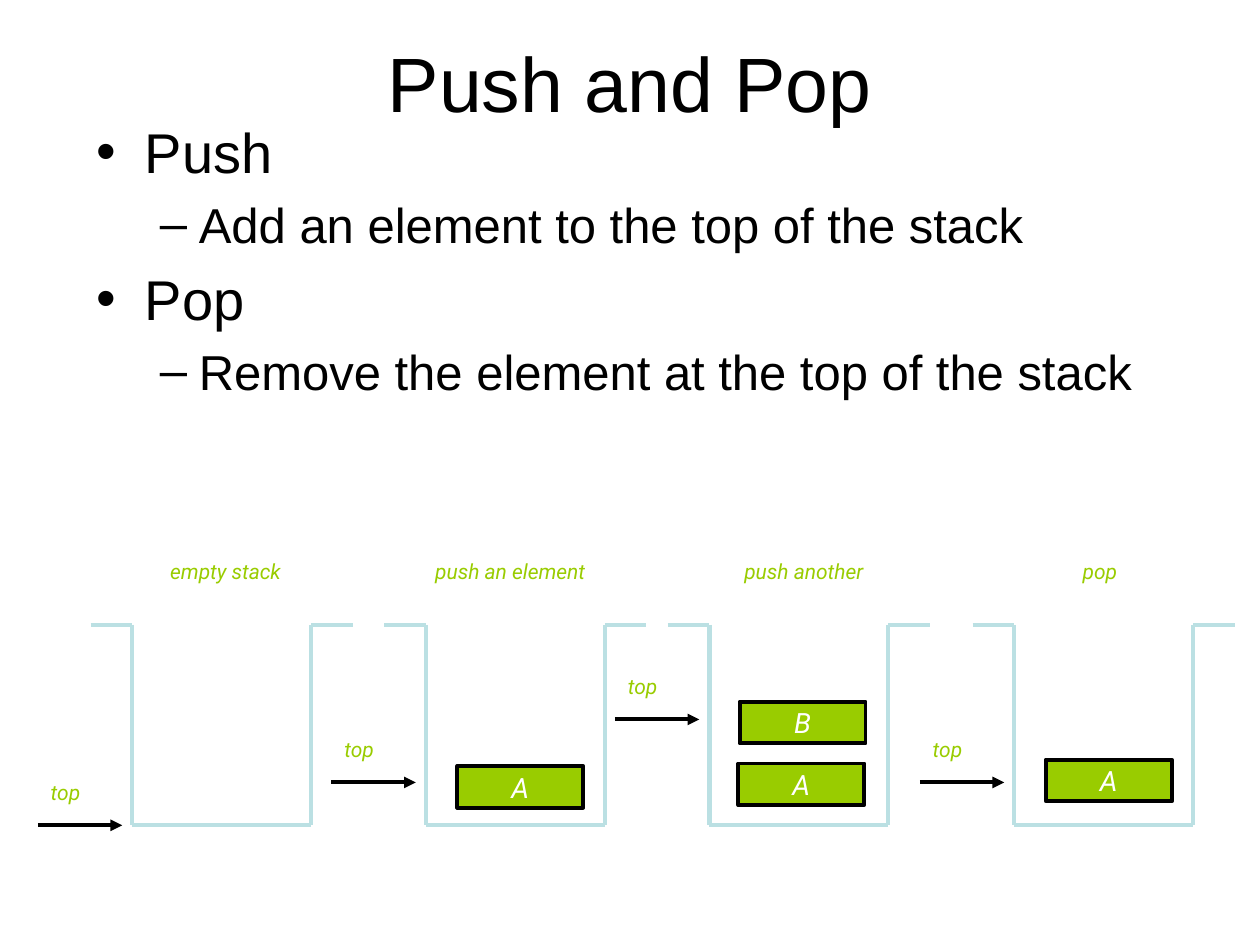
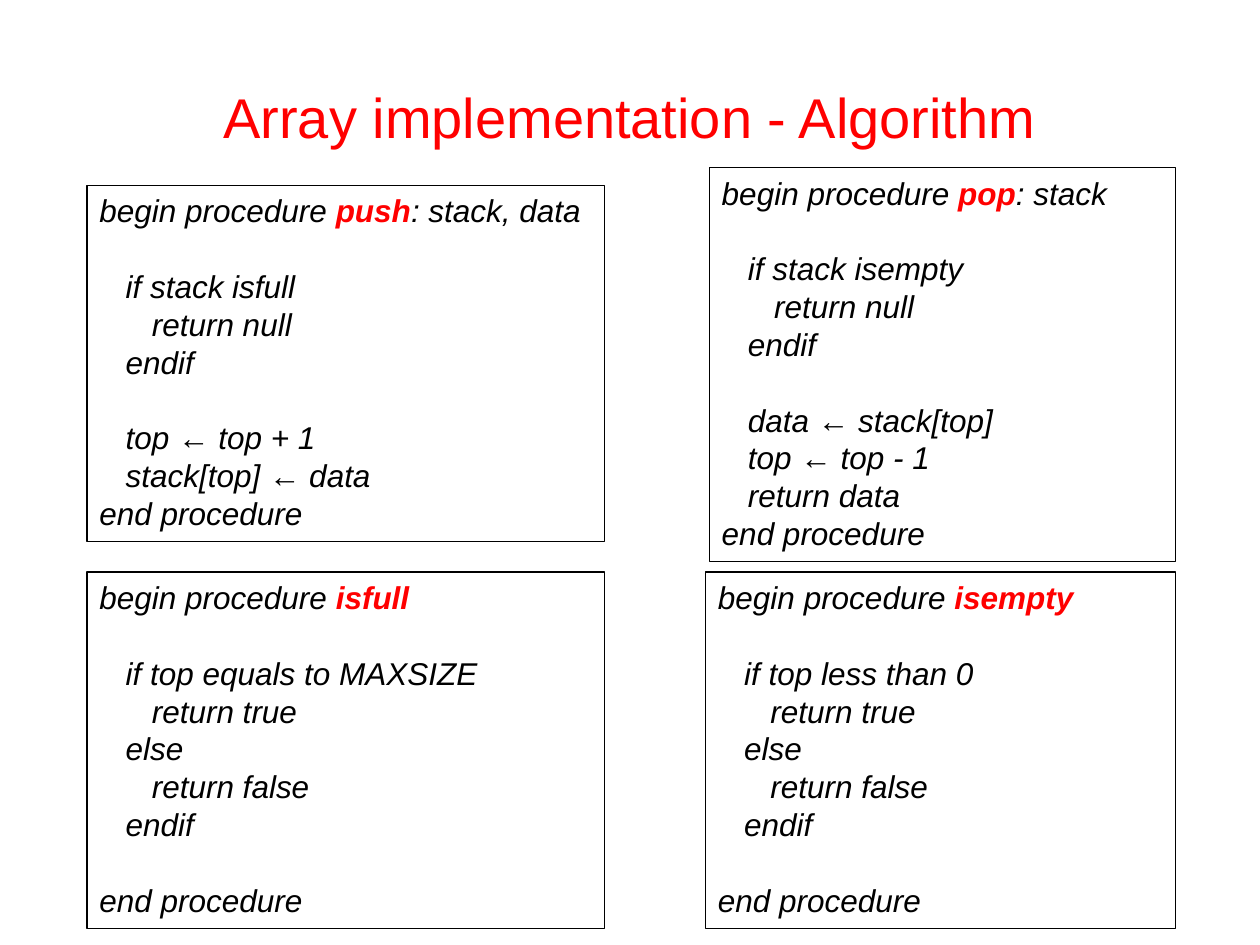
from lxml import etree
from pptx import Presentation
from pptx.dml.color import RGBColor
from pptx.enum.shapes import MSO_CONNECTOR, MSO_SHAPE
from pptx.enum.text import MSO_ANCHOR, PP_ALIGN
from pptx.oxml.ns import qn
from pptx.util import Inches, Pt

STRAIGHT = MSO_CONNECTOR.STRAIGHT
RECTANGLE = MSO_SHAPE.RECTANGLE
MIDDLE, TOP = MSO_ANCHOR.MIDDLE, MSO_ANCHOR.TOP
CENTER, LEFT = PP_ALIGN.CENTER, PP_ALIGN.LEFT

COLORS = {"text": "000000", "accent": "FF0000", "element": "99CC00",
          "stack": "BBE0E3", "letter": "FFFFFF"}
LABEL = {"name": "Roboto", "size": Pt(12), "italic": True}
LETTER = {"name": "Roboto", "size": Pt(16), "italic": True}
CODE = {"name": "Arial", "size": Pt(18), "italic": True}
KEYWORD = {**CODE, "bold": True}


def write(paragraph, text, color, style):
    """Append a run with the given colour and font values."""
    run = paragraph.add_run()
    run.text = text
    run.font.color.rgb = RGBColor.from_string(COLORS[color])
    for attribute, value in style.items():
        setattr(run.font, attribute, value)


def add_line(slide, start, end, color, width, arrow=False):
    line = slide.shapes.add_connector(STRAIGHT, *map(Inches, start + end))
    line.line.color.rgb = RGBColor.from_string(COLORS[color])
    line.line.width = Pt(width)
    properties = line._element.spPr
    if arrow:
        etree.SubElement(line.line._get_or_add_ln(), qn("a:tailEnd"), type="triangle")
    etree.SubElement(properties, qn("a:effectLst"))


prs = Presentation()
prs.slide_width, prs.slide_height = Inches(10), Inches(7.5)
blank = prs.slide_layouts[6]

# Titles
titles = [
    ("Push and Pop", 44, 0.7, "text"),
    ("Array implementation - Algorithm", 32, 1.25, "accent"),
]
slides = []
for title, size, height, color in titles:
    slide = prs.slides.add_slide(blank)
    slides.append(slide)
    frame = slide.shapes.add_textbox(
        Inches(0.5), Inches(0.3), Inches(9), Inches(height)).text_frame
    frame.word_wrap = True
    frame.vertical_anchor = MIDDLE
    frame.paragraphs[0].alignment = CENTER
    write(frame.paragraphs[0], title, color, {"name": "Arial", "size": Pt(size)})
operations_slide, algorithm_slide = slides

# Slide 1: definitions
bullet_levels = [("•", 32, 0.38, -0.38), ("–", 28, 0.81, -0.31)]
definitions = [
    (0, "Push"),
    (1, "Add an element to the top of the stack"),
    (0, "Pop"),
    (1, "Remove the element at the top of the stack"),
]
frame = operations_slide.shapes.add_textbox(
    Inches(0.67), Inches(0.88), Inches(8.58), Inches(4.5)).text_frame
frame.word_wrap = True
for number, (level, text) in enumerate(definitions):
    bullet, size, margin, indent = bullet_levels[level]
    paragraph = frame.add_paragraph() if number else frame.paragraphs[0]
    paragraph.level = level
    if number:
        paragraph.space_before = Pt(size * 0.2)
    properties = paragraph._p.get_or_add_pPr()
    properties.set("marL", str(Inches(margin)))
    properties.set("indent", str(Inches(indent)))
    etree.SubElement(properties, qn("a:buFont"), typeface="Arial")
    etree.SubElement(properties, qn("a:buChar"), char=bullet)
    write(paragraph, text, "text", {"name": "Arial", "size": Pt(size)})

# Slide 1: states of the stack
RIM, FLOOR = 4.96, 6.55
stack_outline = [(0, RIM), (0.33, RIM), (0.33, FLOOR),
                 (1.75, FLOOR), (1.75, RIM), (2.08, RIM)]
# caption, caption left and width, stack left, height of the top arrow, elements
states = [
    ("empty stack", 0.95, 1.68, 0.72, FLOOR, []),
    ("push an element", 2.93, 2.24, 3.05, 6.21, [("A", 3.63, 6.08)]),
    ("push another", 5.47, 1.82, 5.3, 5.71, [("A", 5.86, 6.06), ("B", 5.87, 5.57)]),
    ("pop", 8.4, 0.66, 7.72, 6.21, [("A", 8.3, 6.03)]),
]
for caption, caption_left, caption_width, stack_left, arrow_y, elements in states:
    corners = [(stack_left + x, y) for x, y in stack_outline]
    for start, end in zip(corners, corners[1:]):
        add_line(operations_slide, start, end, "stack", 2.5)

    arrow_x = stack_left - 0.42
    add_line(operations_slide, (arrow_x, arrow_y), (arrow_x + 0.67, arrow_y),
             "text", 2.25, arrow=True)

    labels = [(caption, caption_left, 4.38, caption_width),
              ("top", arrow_x - 0.08, arrow_y - 0.41, 0.6)]
    for text, left, top, width in labels:
        frame = operations_slide.shapes.add_textbox(
            Inches(left), Inches(top), Inches(width), Inches(0.43)).text_frame
        frame.word_wrap = False
        frame.paragraphs[0].alignment = CENTER
        write(frame.paragraphs[0], text, "element", LABEL)

    for letter, left, top in elements:
        element = operations_slide.shapes.add_shape(
            RECTANGLE, Inches(left), Inches(top), Inches(1), Inches(0.33))
        element.shadow.inherit = False
        element.fill.solid()
        element.fill.fore_color.rgb = RGBColor.from_string(COLORS["element"])
        element.line.color.rgb = RGBColor.from_string(COLORS["text"])
        element.line.width = Pt(2.25)
        frame = element.text_frame
        frame.margin_top = frame.margin_bottom = 0
        frame.vertical_anchor = MIDDLE
        frame.paragraphs[0].alignment = CENTER
        write(frame.paragraphs[0], letter, "letter", LETTER)

# Slide 2: procedures, where a blank line becomes space before the next one
CODE_LINE = Pt(21.6)
procedures = [
    ("push", ": stack, data", (0.69, 1.47, 4.11, 2.83), """
   if stack isfull
      return null
   endif

   top ← top + 1
   stack[top] ← data
end procedure"""),
    ("pop", ": stack", (5.63, 1.33, 3.7, 3.13), """
   if stack isempty
      return null
   endif

   data ← stack[top]
   top ← top - 1
   return data
end procedure"""),
    ("isfull", "", (0.69, 4.54, 4.11, 2.83), """
   if top equals to MAXSIZE
      return true
   else
      return false
   endif

end procedure"""),
    ("isempty", "", (5.6, 4.54, 3.73, 2.83), """
   if top less than 0
      return true
   else
      return false
   endif

end procedure"""),
]
for name, arguments, place, body in procedures:
    box = algorithm_slide.shapes.add_shape(RECTANGLE, *map(Inches, place))
    box.shadow.inherit = False
    box.fill.background()
    box.line.color.rgb = RGBColor.from_string(COLORS["text"])
    box.line.width = Pt(0.75)
    frame = box.text_frame
    frame.word_wrap = True
    frame.vertical_anchor = TOP
    heading = frame.paragraphs[0]
    heading.alignment = LEFT
    write(heading, "begin procedure ", "text", CODE)
    write(heading, name, "accent", KEYWORD)
    if arguments:
        write(heading, arguments, "text", CODE)
    for block in body.strip("\n").split("\n\n"):
        for number, code_line in enumerate(block.split("\n")):
            paragraph = frame.add_paragraph()
            paragraph.alignment = LEFT
            if number == 0:
                paragraph.space_before = CODE_LINE
            write(paragraph, code_line, "text", CODE)

prs.save("out.pptx")
